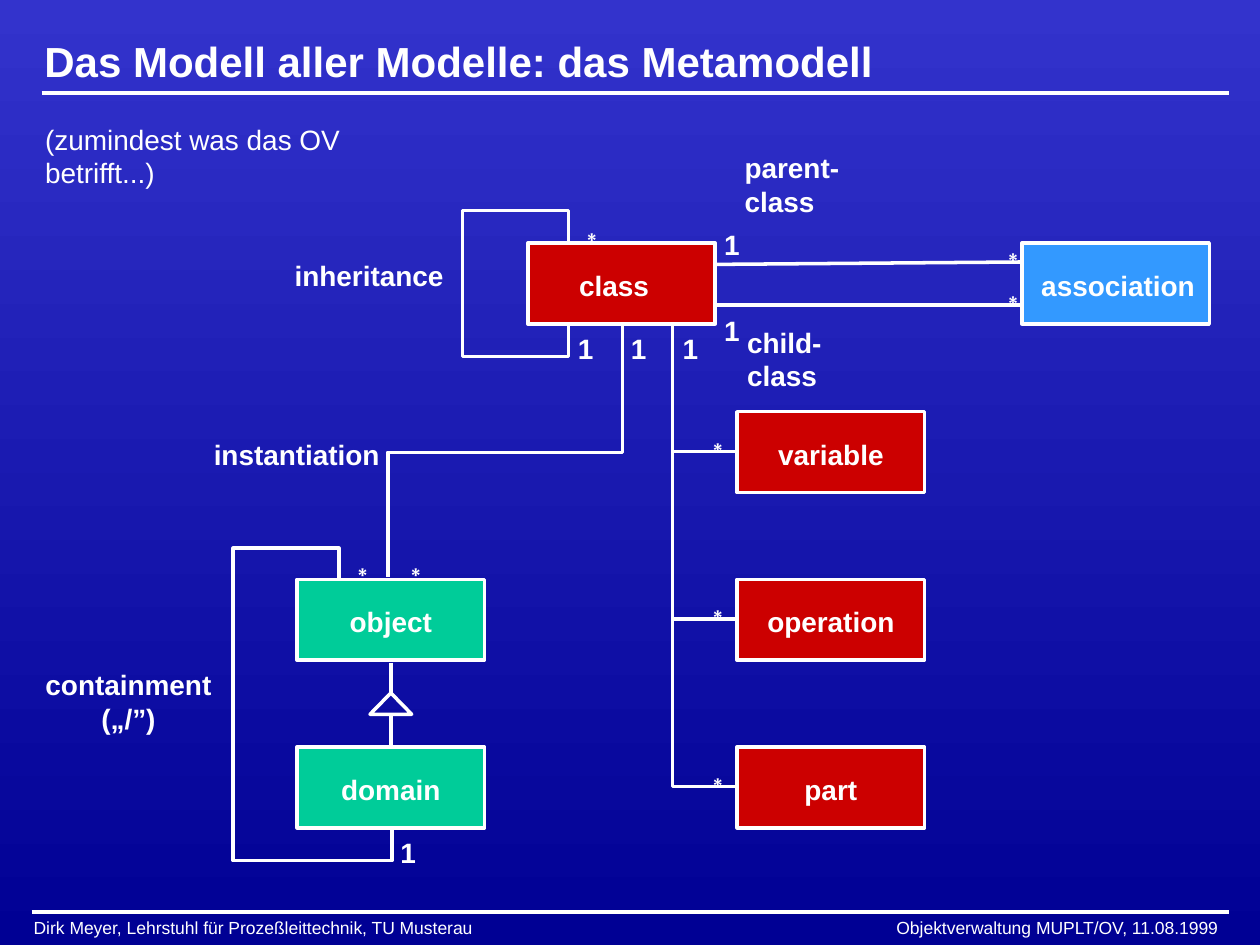
from lxml.etree import SubElement
from pptx import Presentation
from pptx.dml.color import RGBColor
from pptx.enum.shapes import MSO_CONNECTOR, MSO_SHAPE
from pptx.enum.text import MSO_ANCHOR, MSO_AUTO_SIZE, PP_ALIGN
from pptx.oxml.ns import qn
from pptx.util import Cm, Pt

WHITE, RED, GREEN, BLUE = "FFFFFF", "CC0000", "00CC99", "3399FF"
LINE_WIDTH = Pt(2)
BOX_WIDTH, BOX_HEIGHT = 3.78, 1.63
ROW_GAP = 3.38
ROWS = [8.3 + ROW_GAP * i for i in range(3)]


def write(frame, text, size=16, bold=True, align=PP_ALIGN.LEFT):
    for index, line in enumerate(text.split("\n")):
        paragraph = frame.paragraphs[0] if index == 0 else frame.add_paragraph()
        paragraph.alignment = align
        run = paragraph.add_run()
        run.text = line
        run.font.name = "Arial"
        run.font.size = Pt(size)
        run.font.bold = bold
        run.font.color.rgb = RGBColor.from_string(WHITE)


def style(shape, fill=None):
    shape.shadow.inherit = False
    shape.line.color.rgb = RGBColor.from_string(WHITE)
    shape.line.width = LINE_WIDTH
    if fill:
        shape.fill.solid()
        shape.fill.fore_color.rgb = RGBColor.from_string(fill)
    else:
        shape.fill.background()


presentation = Presentation()
presentation.slide_width, presentation.slide_height = Cm(25.4), Cm(19.05)
slide = presentation.slides.add_slide(presentation.slide_layouts[5])
shapes = slide.shapes

# Background gradient, top to bottom
background = slide.background.fill
background.gradient()
background.gradient_angle = 270
for stop, (position, color) in zip(background.gradient_stops, [(0, "3333CC"), (1, "000094")]):
    stop.position = position
    stop.color.rgb = RGBColor.from_string(color)

# Title
title = shapes.title
title.left, title.top, title.width, title.height = Cm(0.64), Cm(0.61), Cm(24.13), Cm(1.22)
title.text_frame.auto_size = MSO_AUTO_SIZE.NONE
title.text_frame.vertical_anchor = MSO_ANCHOR.MIDDLE
write(title.text_frame, "Das Modell aller Modelle: das Metamodell", size=24)

# Footer, with its right half on a right-aligned tab
footer = shapes.add_textbox(Cm(0.43), Cm(18.36), Cm(24.97), Cm(0.69)).text_frame
footer.word_wrap = True
write(footer, "Dirk Meyer, Lehrstuhl für Prozeßleittechnik, TU Musterau\t"
      "Objektverwaltung MUPLT/OV, 11.08.1999", size=10, bold=False)
properties = footer.paragraphs[0]._p.get_or_add_pPr()
tabs = SubElement(properties, qn("a:tabLst"))
SubElement(tabs, qn("a:tab"), pos=str(Cm(23.87)), algn="r")

# Straight lines: title rule, footer rule, associations, generalization
for x1, y1, x2, y2 in [
    (0.84, 1.88, 24.77, 1.88),
    (0.64, 18.39, 24.77, 18.39),
    (14.4, 6.15, 20.75, 6.15),
    (14.4, 5.33, 20.75, 5.28),
    (7.88, 13.36, 7.88, 13.97),
    (7.88, 14.4, 7.88, 15.04),
]:
    connector = shapes.add_connector(MSO_CONNECTOR.STRAIGHT, Cm(x1), Cm(y1), Cm(x2), Cm(y2))
    connector.line.color.rgb = RGBColor.from_string(WHITE)
    connector.line.width = LINE_WIDTH
    SubElement(connector._element.spPr, qn("a:effectLst"))

# Generalization arrowhead between object and domain
triangle = shapes.add_shape(MSO_SHAPE.ISOSCELES_TRIANGLE, Cm(7.46), Cm(13.97), Cm(0.84), Cm(0.43))
style(triangle)

# Bent relation lines
relations = [
    [(7.9, 16.71), (7.9, 17.35), (4.7, 17.35), (4.7, 11.05), (6.83, 11.05), (6.83, 11.66)],
    [(7.82, 11.63), (7.82, 9.12), (12.55, 9.12), (12.55, 6.58)],
    [(11.46, 6.55), (11.46, 7.19), (9.32, 7.19), (9.32, 4.24), (11.46, 4.24), (11.46, 4.88)],
]
branch_top = 6.58
for row in ROWS:
    branch = row + 0.8
    relations.append([(13.56, branch_top), (13.56, branch), (14.83, branch)])
    branch_top = branch
for points in relations:
    start, *rest = [(Cm(x), Cm(y)) for x, y in points]
    builder = shapes.build_freeform(*start, scale=1.0)
    builder.add_line_segments(rest, close=False)
    style(builder.convert_to_shape())

# Boxes: text, left, top, fill, sideways shift of the text
for text, left, top, fill, shift in [
    ("class", 10.64, 4.9, RED, -0.15),
    ("association", 20.6, 4.9, BLUE, 0.05),
    ("variable", 14.86, ROWS[0], RED, 0),
    ("operation", 14.86, ROWS[1], RED, 0),
    ("part", 14.86, ROWS[2], RED, 0),
    ("object", 5.99, ROWS[1], GREEN, 0),
    ("domain", 5.99, ROWS[2], GREEN, 0),
]:
    box = shapes.add_shape(MSO_SHAPE.RECTANGLE, Cm(left), Cm(top), Cm(BOX_WIDTH), Cm(BOX_HEIGHT))
    style(box, fill)
    frame = box.text_frame
    frame.vertical_anchor = MSO_ANCHOR.MIDDLE
    frame.margin_left, frame.margin_right = Cm(0.2 + shift), Cm(0.2 - shift)
    frame.margin_top, frame.margin_bottom = Cm(0.08), Cm(0)
    write(frame, text, align=PP_ALIGN.CENTER)

# Labels: text, left, top, width
labels = [
    ("(zumindest was das OV betrifft...)", 0.66, 2.34, 8.81),
    ("inheritance", 5.69, 5.08, 3.53),
    ("instantiation", 4.06, 8.69, 3.86),
    ("containment\n(„/”)", 0.66, 13.34, 3.86),
    ("parent-\nclass", 14.76, 2.92, 2.41),
    ("child-\nclass", 14.81, 6.43, 2.01),
]
# Multiplicities
labels += [("1", left, top, 0.84) for left, top in [
    (11.4, 6.55), (12.47, 6.55), (13.51, 6.55), (14.35, 4.47), (14.35, 6.2), (7.82, 16.71)]]
labels += [("∗", left, top, 0.79) for left, top in [
    (11.4, 4.24), (6.78, 11), (7.85, 11), (19.89, 4.65), (19.89, 5.51)]]
labels += [("∗", 13.94, row + 0.17, 0.79) for row in ROWS]
for text, left, top, width in labels:
    height = 1.6 if "\n" in text else 0.94
    frame = shapes.add_textbox(Cm(left), Cm(top), Cm(width), Cm(height)).text_frame
    frame.word_wrap = False
    frame.auto_size = MSO_AUTO_SIZE.SHAPE_TO_FIT_TEXT
    centred = text.startswith("containment")
    write(frame, text, bold=not text.startswith("(zumindest"),
          align=PP_ALIGN.CENTER if centred else PP_ALIGN.LEFT)

presentation.save("out.pptx")
